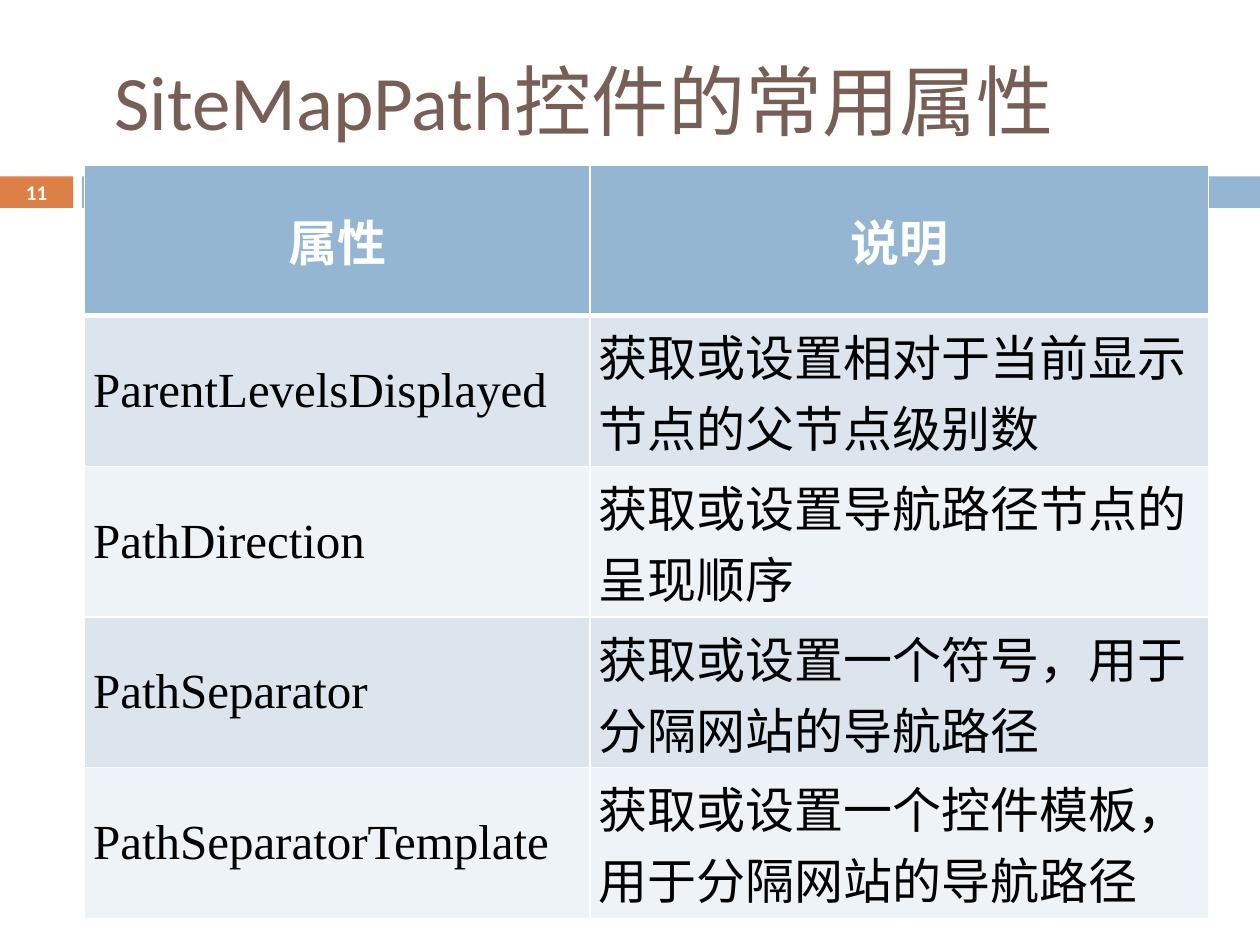
"""Build a slide with a table of the common SiteMapPath properties."""
from dataclasses import dataclass

from lxml import etree
from pptx import Presentation
from pptx.dml.color import RGBColor
from pptx.enum.shapes import MSO_SHAPE
from pptx.enum.text import MSO_ANCHOR, PP_ALIGN
from pptx.oxml.ns import qn
from pptx.util import Inches, Pt

RECTANGLE = MSO_SHAPE.RECTANGLE
MIDDLE = MSO_ANCHOR.MIDDLE
LEFT, CENTER, JUSTIFY = PP_ALIGN.LEFT, PP_ALIGN.CENTER, PP_ALIGN.JUSTIFY

WHITE = RGBColor(0xFF, 0xFF, 0xFF)
BLACK = RGBColor(0x00, 0x00, 0x00)
ORANGE = RGBColor(0xDD, 0x80, 0x47)
BLUE = RGBColor(0x94, 0xB6, 0xD2)
BROWN = RGBColor(0x77, 0x5F, 0x55)
ROW_FILLS = (RGBColor(0xDC, 0xE5, 0xEE), RGBColor(0xEE, 0xF3, 0xF7))

SLIDE_WIDTH, SLIDE_HEIGHT = Inches(10), Inches(7.5)
COLUMN_SHARES = (0.45, 0.55)
BORDER_TAGS = ("a:lnL", "a:lnR", "a:lnT", "a:lnB")

ROWS = (
    ("属性", "说明"),
    ("ParentLevelsDisplayed", "获取或设置相对于当前显示节点的父节点级别数"),
    ("PathDirection", "获取或设置导航路径节点的呈现顺序"),
    ("PathSeparator", "获取或设置一个符号，用于分隔网站的导航路径"),
    ("PathSeparatorTemplate", "获取或设置一个控件模板，用于分隔网站的导航路径"),
)


@dataclass(frozen=True)
class Area:
    """Hold a rectangle in shares of the slide's size."""

    left: float
    top: float
    width: float
    height: float

    def lengths(self) -> tuple[int, int, int, int]:
        """Return left, top, width and height as slide lengths."""
        return (
            round(self.left * SLIDE_WIDTH),
            round(self.top * SLIDE_HEIGHT),
            round(self.width * SLIDE_WIDTH),
            round(self.height * SLIDE_HEIGHT),
        )


@dataclass(frozen=True)
class Band:
    """Describe one coloured band behind the table."""

    area: Area
    color: RGBColor


NUMBER_AREA = Area(0, 1.4 / 7.5, 0.058, 0.25 / 7.5)
BANDS = (
    Band(NUMBER_AREA, ORANGE),
    Band(Area(0.065, 1.4 / 7.5, 0.935, 0.25 / 7.5), BLUE),
)
TITLE_AREA = Area(0.067, 0.25 / 7.5, 0.892, 1.08 / 7.5)
TABLE_AREA = Area(0.067, 1.31 / 7.5, 0.892, 5.98 / 7.5)


def write_text(text_frame, text: str, *, size: float, color: RGBColor,
               font: str = "Calibri", bold: bool = False, align=LEFT) -> None:
    """Write one formatted paragraph into a text frame."""
    paragraph = text_frame.paragraphs[0]
    paragraph.alignment = align
    run = paragraph.add_run()
    run.text = text
    run.font.name = font
    run.font.size = Pt(size)
    run.font.bold = bold
    run.font.color.rgb = color


def add_band(slide, band: Band) -> None:
    """Draw a plain coloured band."""
    shape = slide.shapes.add_shape(RECTANGLE, *band.area.lengths())
    shape.shadow.inherit = False
    shape.fill.solid()
    shape.fill.fore_color.rgb = band.color
    shape.line.fill.background()


def add_label(slide, area: Area, text: str, margin: float, **text_format) -> None:
    """Add a vertically centred text box."""
    text_frame = slide.shapes.add_textbox(*area.lengths()).text_frame
    text_frame.word_wrap = True
    text_frame.vertical_anchor = MIDDLE
    text_frame.margin_left = text_frame.margin_right = Inches(margin)
    text_frame.margin_top = text_frame.margin_bottom = 0
    write_text(text_frame, text, **text_format)


def set_borders(cell, bottom_width: float, top_width: float) -> None:
    """Give a cell white borders, ahead of its fill."""
    properties = cell._tc.get_or_add_tcPr()
    widths = (1, 1, top_width, bottom_width)
    for index, (tag, width) in enumerate(zip(BORDER_TAGS, widths)):
        line = etree.Element(qn(tag), w=str(Pt(width)))
        fill = etree.SubElement(line, qn("a:solidFill"))
        etree.SubElement(fill, qn("a:srgbClr"), val=str(WHITE))
        properties.insert(index, line)


def add_property_table(slide) -> None:
    """Add the table of properties and their descriptions."""
    left, top, width, height = TABLE_AREA.lengths()
    table = slide.shapes.add_table(
        len(ROWS), len(COLUMN_SHARES), left, top, width, height).table
    for column, share in zip(table.columns, COLUMN_SHARES):
        column.width = round(width * share)
    for row_index, texts in enumerate(ROWS):
        header = row_index == 0
        for column_index, text in enumerate(texts):
            cell = table.cell(row_index, column_index)
            cell.vertical_anchor = MIDDLE
            cell.margin_left = cell.margin_right = Inches(0.07)
            cell.margin_top = cell.margin_bottom = 0
            cell.fill.solid()
            cell.fill.fore_color.rgb = BLUE if header else ROW_FILLS[(row_index - 1) % 2]
            set_borders(cell, bottom_width=3 if header else 1,
                        top_width=3 if row_index == 1 else 1)
            write_text(cell.text_frame, text, size=28, font="Times New Roman",
                       color=WHITE if header else BLACK, bold=header,
                       align=CENTER if header else LEFT)


def main() -> None:
    """Build and save the presentation."""
    presentation = Presentation()
    presentation.slide_width, presentation.slide_height = SLIDE_WIDTH, SLIDE_HEIGHT
    slide = presentation.slides.add_slide(presentation.slide_layouts[6])
    for band in BANDS:
        add_band(slide, band)
    add_label(slide, TITLE_AREA, " SiteMapPath控件的常用属性", 0.1,
              size=44, color=BROWN, align=JUSTIFY)
    add_label(slide, NUMBER_AREA, "11", 0, size=12, color=WHITE, bold=True, align=CENTER)
    add_property_table(slide)
    presentation.save("out.pptx")


if __name__ == "__main__":
    main()
